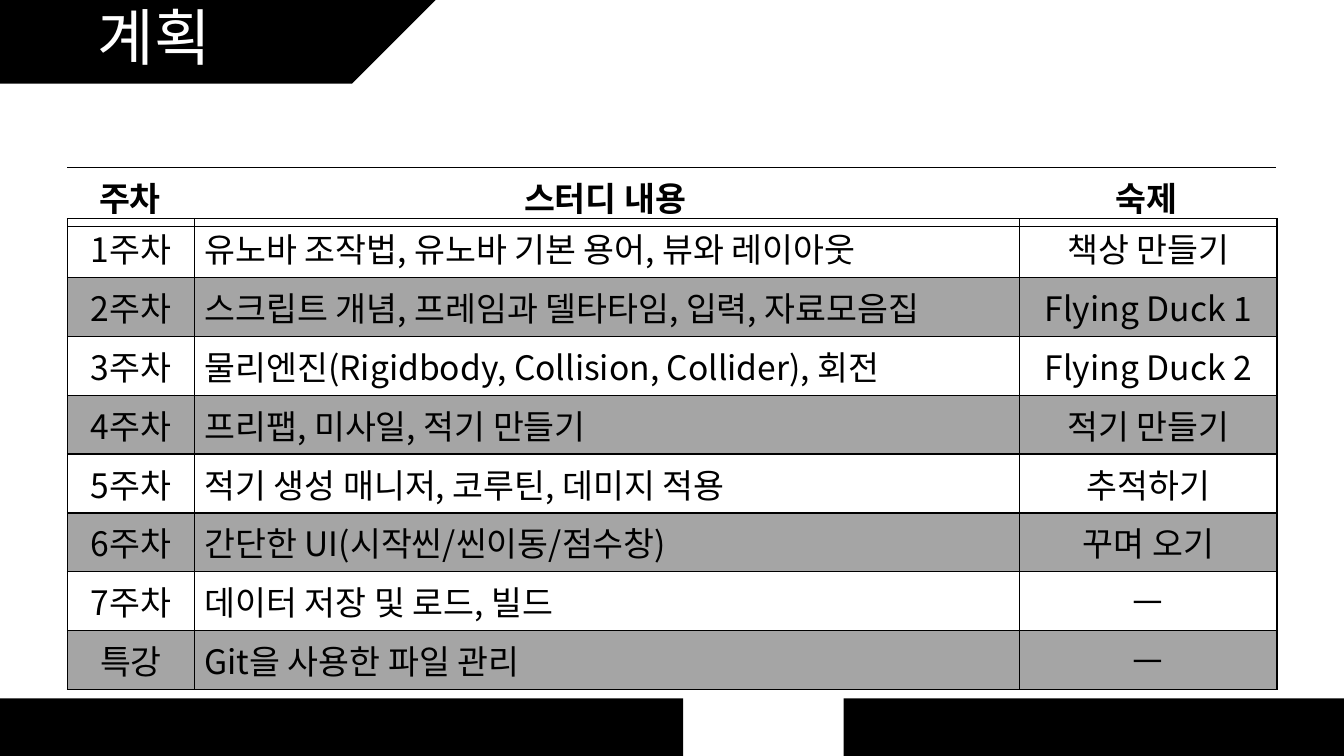
import pptx
import pptx.util
import pptx.dml.color
import pptx.enum.shapes
import pptx.enum.text
import pptx.oxml
import pptx.oxml.ns
from pptx.util import Cm

HEX = {"black": "000000", "white": "FFFFFF", "band": "A5A5A5"}
FACE = "Noto Sans CJK KR"
HEAD = ["주차", "스터디 내용", "숙제"]
PLAN = [
    ["1주차", "유노바 조작법, 유노바 기본 용어, 뷰와 레이아웃", "책상 만들기"],
    ["2주차", "스크립트 개념, 프레임과 델타타임, 입력, 자료모음집", "Flying Duck 1"],
    ["3주차", "물리엔진(Rigidbody, Collision, Collider), 회전", "Flying Duck 2"],
    ["4주차", "프리팹, 미사일, 적기 만들기", "적기 만들기"],
    ["5주차", "적기 생성 매니저, 코루틴, 데미지 적용", "추적하기"],
    ["6주차", "간단한 UI(시작씬/씬이동/점수창)", "꾸며 오기"],
    ["7주차", "데이터 저장 및 로드, 빌드", "ㅡ"],
    ["특강", "Git을 사용한 파일 관리", "ㅡ"],
]
ALIGN = pptx.enum.text.PP_ALIGN
KIND = pptx.enum.shapes.MSO_SHAPE


def color(name):
    """Return the named colour."""
    return pptx.dml.color.RGBColor.from_string(HEX[name])


def node(parent, tag, **attrs):
    """Append a drawing element to a parent and return it."""
    child = parent.makeelement(pptx.oxml.ns.qn("a:" + tag), attrs)
    parent.append(child)
    return child


def style(para, size, tone, face=FACE, bold=False):
    """Set the font of a paragraph."""
    font = para.font
    font.size = pptx.util.Pt(size)
    font.bold = bold
    font.name = face
    font.color.rgb = color(tone)
    node(font._element, "ea", typeface=FACE)


def block(slide, kind, left, top, width, height, turn=0):
    """Add a plain black shape."""
    shape = slide.shapes.add_shape(kind, Cm(left), Cm(top), Cm(width), Cm(height))
    shape.fill.solid()
    shape.fill.fore_color.rgb = color("black")
    shape.line.fill.background()
    shape.shadow.inherit = False
    shape.rotation = turn


def title(slide, text):
    """Place the slide title over the shapes drawn so far."""
    box = slide.shapes.title
    box.left, box.top, box.width, box.height = Cm(2.21), Cm(-0.03), Cm(4.45), Cm(2.11)
    tree = box._element.getparent()
    tree.append(box._element)
    frame = box.text_frame
    frame.text = text
    frame.word_wrap = True
    frame.vertical_anchor = pptx.enum.text.MSO_ANCHOR.MIDDLE
    para = frame.paragraphs[0]
    para.alignment = ALIGN.LEFT
    para.line_spacing = 0.9
    style(para, 44, "white", "Lato")


def edge(cell, sides):
    """Draw the given sides of a cell and hide the others."""
    props = cell._tc.get_or_add_tcPr()
    for side in "LRTB":
        line = node(props, "ln" + side, w="12700")
        if side in sides:
            node(node(line, "solidFill"), "srgbClr", val=HEX["black"])
        else:
            node(line, "noFill")


def shade(cell, band):
    """Fill a cell with the pale band, or leave it clear."""
    if not band:
        cell.fill.background()
        return
    cell.fill.solid()
    cell.fill.fore_color.rgb = color("band")
    tint = cell._tc.tcPr.find(".//" + pptx.oxml.ns.qn("a:srgbClr"))
    node(tint, "alpha", val="20000")


def grid(slide, rows, top, cols, aligns, sides, bold=False):
    """Add a table with the given rows, columns and borders."""
    tall = 1.04
    frame = slide.shapes.add_table(
        len(rows), len(cols), Cm(1.7), Cm(top), Cm(sum(cols)), Cm(tall * len(rows)))
    table = frame.table
    table.first_row = table.horz_banding = False
    for col, width in zip(table.columns, cols):
        col.width = Cm(width)
    for r, row in enumerate(rows):
        table.rows[r].height = Cm(tall)
        for c, text in enumerate(row):
            cell = table.cell(r, c)
            cell.text = text
            para = cell.text_frame.paragraphs[0]
            para.alignment = aligns[c]
            style(para, 24, "black", bold=bold)
            edge(cell, sides)
            shade(cell, r % 2)


def main():
    """Build the study plan slide."""
    deck = pptx.Presentation()
    deck.slide_width, deck.slide_height = Cm(33.87), Cm(19.05)
    slide = deck.slides.add_slide(deck.slide_layouts[5])
    block(slide, KIND.RECTANGLE, 0, 0, 8.87, 2.11)
    block(slide, KIND.RIGHT_TRIANGLE, 8.87, 0, 2.11, 2.11, 90)
    title(slide, "계획")
    block(slide, KIND.RECTANGLE, 0, 17.6, 17.22, 1.45)
    block(slide, KIND.RECTANGLE, 21.26, 17.6, 12.61, 1.45)
    mid = ALIGN.CENTER
    grid(slide, PLAN, 5.51, [3.2, 20.8, 6.48], [mid, ALIGN.LEFT, mid], "LRTB")
    grid(slide, [HEAD], 4.22, [3.15, 20.8, 6.5], [mid] * 3, "TB", bold=True)
    deck.save("out.pptx")


if __name__ == "__main__":
    main()
